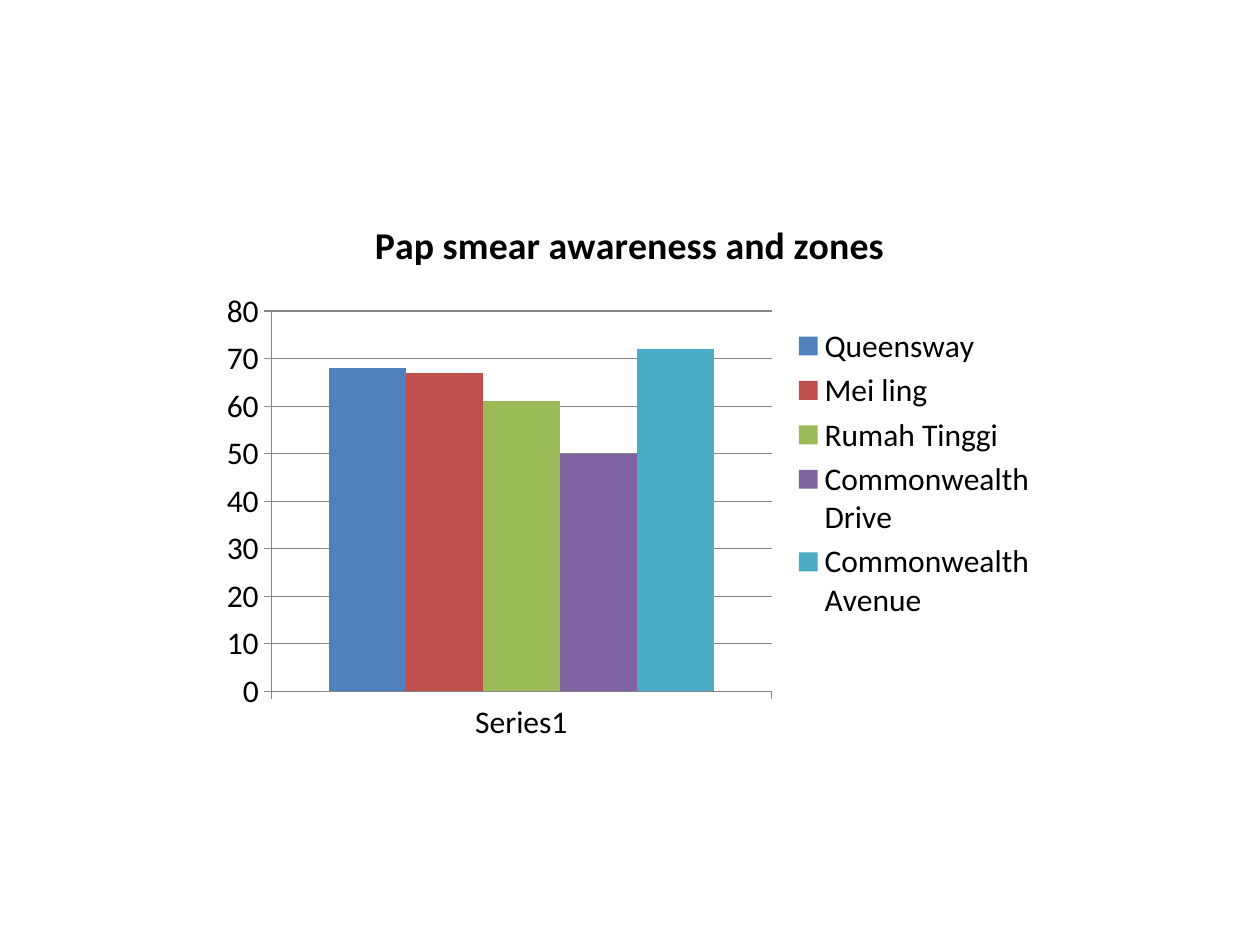
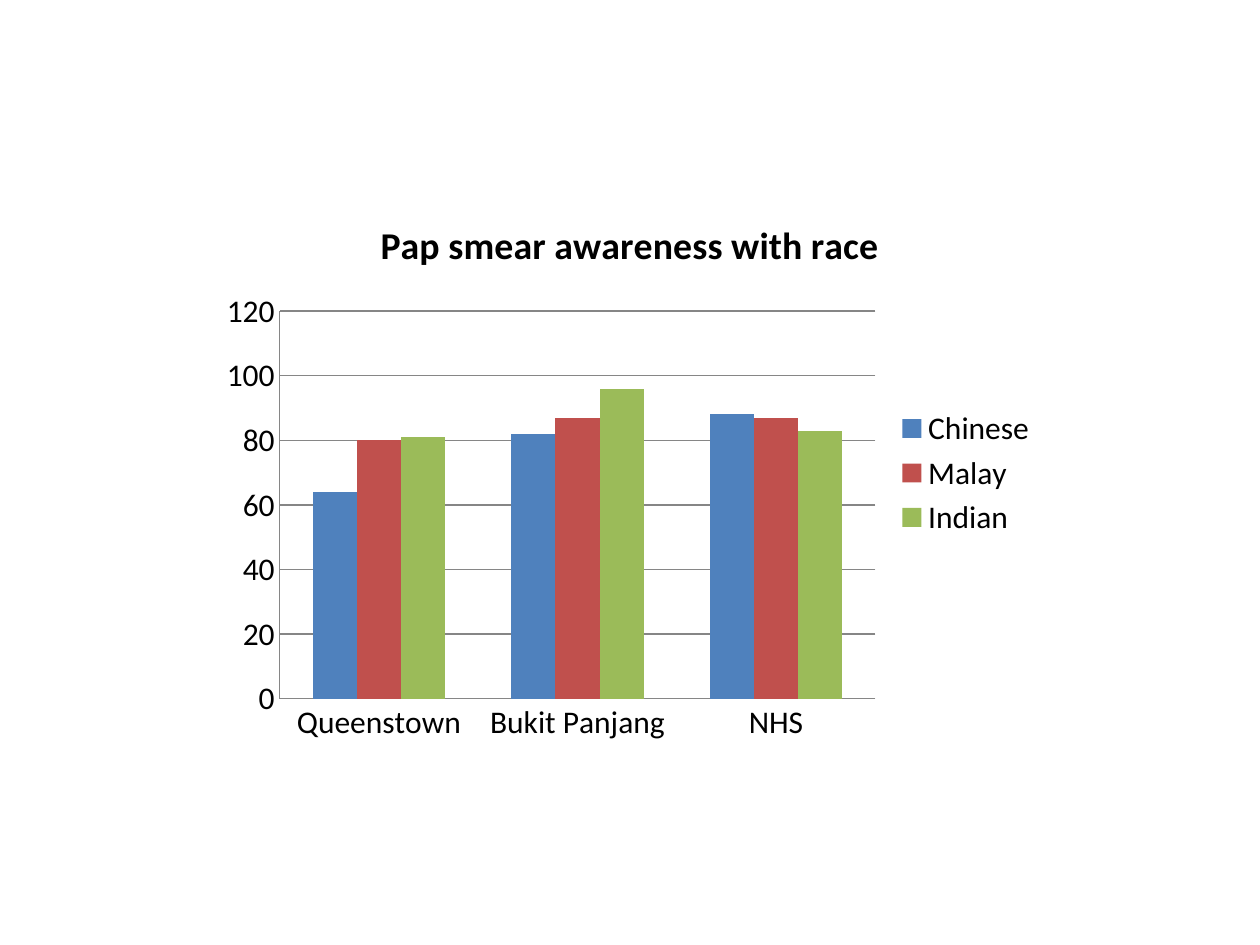
from dataclasses import dataclass

from pptx import Presentation
from pptx import util as u
from pptx.chart.data import CategoryChartData
from pptx.dml.color import RGBColor
from pptx.enum import chart as charts

PX = 914400 / 126
FONT = "Calibri"
COLORS = {
    "text": "000000",
    "line": "868686",
    "blue": "4F81BD",
    "red": "C0504D",
    "green": "9BBB59",
    "purple": "8064A2",
    "teal": "4BACC6",
}
SERIES_COLORS = ["blue", "red", "green", "purple", "teal"]
CHART_BOX = (210, 193, 840, 560)


@dataclass(frozen=True)
class AwarenessChart:
    title: str
    categories: list[str]
    series: dict[str, list[int]]
    maximum: int
    step: int
    tick: charts.XL_TICK_MARK


AWARENESS_CHARTS = [
    AwarenessChart(
        "Pap smear awareness and zones",
        ["Series1"],
        {
            "Queensway": [68],
            "Mei ling": [67],
            "Rumah Tinggi": [61],
            "Commonwealth Drive": [50],
            "Commonwealth Avenue": [72],
        },
        80,
        10,
        charts.XL_TICK_MARK.OUTSIDE,
    ),
    AwarenessChart(
        "Pap smear awareness with race",
        ["Queenstown", "Bukit Panjang", "NHS"],
        {
            "Chinese": [64, 82, 88],
            "Malay": [80, 87, 87],
            "Indian": [81, 96, 83],
        },
        120,
        20,
        charts.XL_TICK_MARK.NONE,
    ),
]


def px(length: int) -> u.Emu:
    return u.Emu(round(length * PX))


def rgb(name: str) -> RGBColor:
    return RGBColor.from_string(COLORS[name])


def style_font(font, *, size: float, bold: bool = False, color: str = "text") -> None:
    font.name = FONT
    font.size = u.Pt(size)
    font.bold = bold
    font.color.rgb = rgb(color)


def write_text(frame, content: str, **font_format) -> None:
    run = frame.paragraphs[0].add_run()
    run.text = content
    style_font(run.font, **font_format)


def style_line(line) -> None:
    line.color.rgb = rgb("line")
    line.width = u.Pt(0.75)


def style_axes(chart, content: AwarenessChart) -> None:
    for axis in (chart.category_axis, chart.value_axis):
        axis.major_tick_mark = content.tick
        axis.minor_tick_mark = charts.XL_TICK_MARK.NONE
        style_line(axis.format.line)
    value_axis = chart.value_axis
    value_axis.minimum_scale = 0
    value_axis.maximum_scale = content.maximum
    value_axis.major_unit = content.step
    value_axis.has_major_gridlines = True
    style_line(value_axis.major_gridlines.format.line)


def add_awareness_chart(slide, content: AwarenessChart) -> None:
    data = CategoryChartData(number_format="General")
    data.categories = content.categories
    for name, values in content.series.items():
        data.add_series(name, values)
    chart = slide.shapes.add_chart(
        charts.XL_CHART_TYPE.COLUMN_CLUSTERED, *map(px, CHART_BOX), data
    ).chart
    style_font(chart.font, size=18)
    chart.has_title = True
    write_text(chart.chart_title.text_frame, content.title, size=21.6, bold=True)
    chart.has_legend = True
    chart.legend.position = charts.XL_LEGEND_POSITION.RIGHT
    chart.legend.include_in_layout = False
    style_axes(chart, content)
    plot = chart.plots[0]
    plot.gap_width = 150
    plot.overlap = 0
    plot.vary_by_categories = False
    for series, color in zip(plot.series, SERIES_COLORS):
        series.format.fill.solid()
        series.format.fill.fore_color.rgb = rgb(color)


def main() -> None:
    presentation = Presentation()
    presentation.slide_width = px(1260)
    presentation.slide_height = px(945)
    for content in AWARENESS_CHARTS:
        slide = presentation.slides.add_slide(presentation.slide_layouts[6])
        add_awareness_chart(slide, content)
    presentation.save("out.pptx")


if __name__ == "__main__":
    main()
